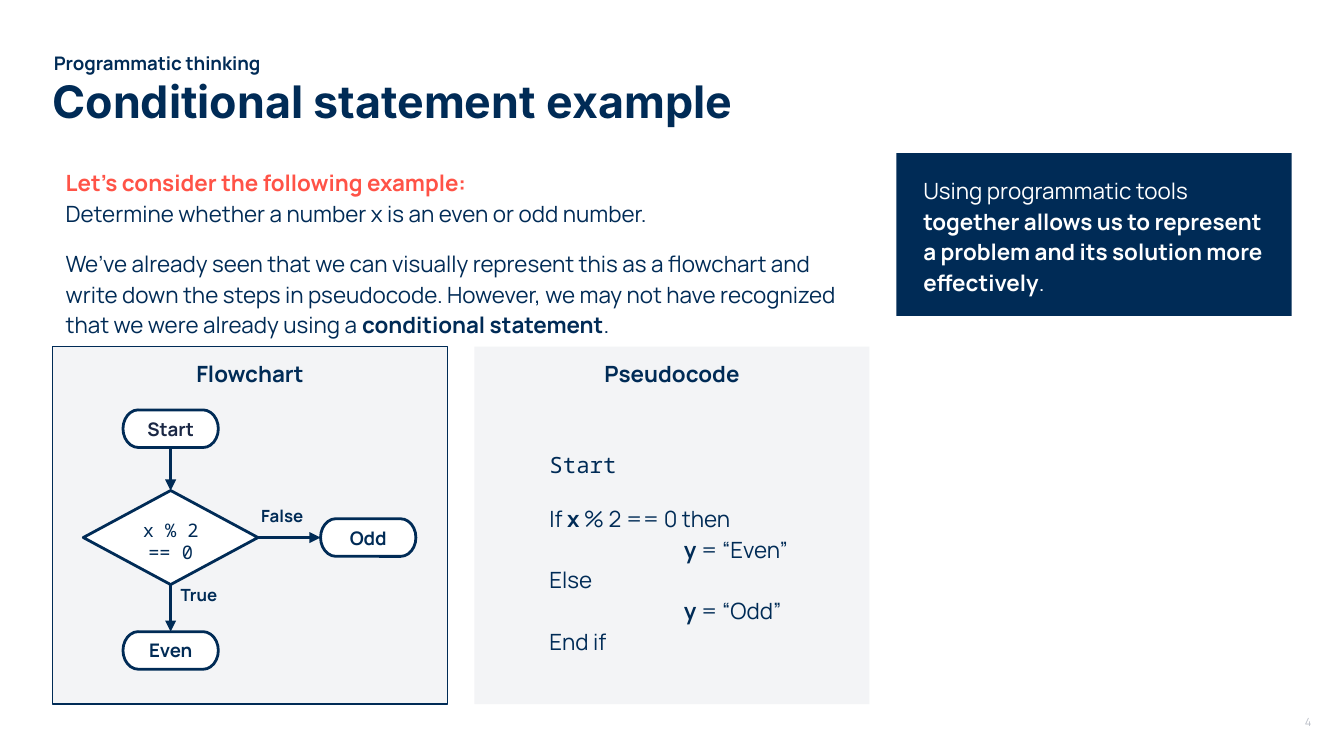
from lxml import etree
from pptx import Presentation
from pptx.dml.color import RGBColor
from pptx.enum.shapes import MSO_CONNECTOR, MSO_SHAPE
from pptx.enum.text import MSO_ANCHOR, MSO_AUTO_SIZE, PP_ALIGN
from pptx.oxml.ns import qn
from pptx.util import Inches, Pt

RECT = MSO_SHAPE.RECTANGLE
PILL = MSO_SHAPE.FLOWCHART_TERMINATOR
DIAMOND = MSO_SHAPE.FLOWCHART_DECISION
STRAIGHT = MSO_CONNECTOR.STRAIGHT
TOP, MIDDLE = MSO_ANCHOR.TOP, MSO_ANCHOR.MIDDLE
LEFT, CENTER = PP_ALIGN.LEFT, PP_ALIGN.CENTER
NO_FIT = MSO_AUTO_SIZE.NONE

NAVY, WHITE, GREY, CORAL = "002B56", "FFFFFF", "F3F4F6", "FF5347"
SANS, MONO = "Manrope", "Noto Sans Mono"
rgb = RGBColor.from_string

prs = Presentation()
prs.slide_width, prs.slide_height = Inches(10), Inches(10 * 9 / 16)
slide = prs.slides.add_slide(prs.slide_layouts[5])
shapes = slide.shapes


def place(kind, x, y, w, h, fill=None, line=None, width=1.5):
    """Add a preset shape, or a text box if kind is None."""
    box = [Inches(v) for v in (x, y, w, h)]
    if kind is None:
        return shapes.add_textbox(*box)
    shape = shapes.add_shape(kind, *box)
    shape.shadow.inherit = False
    shape.fill.solid()
    shape.fill.fore_color.rgb = rgb(fill)
    if line:
        shape.line.color.rgb = rgb(line)
        shape.line.width = Pt(width)
    else:
        shape.line.fill.background()
    return shape


def write(shape, paras, size, color=NAVY, font=SANS, align=LEFT, anchor=TOP,
          pads=(0.1, 0.1, 0.1, 0.1), spacing=None, before=0):
    """Each paragraph is a list of (text, bold, optional colour, optional font)."""
    frame = shape.text_frame
    frame.word_wrap = True
    frame.auto_size = NO_FIT
    frame.vertical_anchor = anchor
    (frame.margin_left, frame.margin_top,
     frame.margin_right, frame.margin_bottom) = [Inches(p) for p in pads]
    for i, runs in enumerate(paras):
        para = frame.add_paragraph() if i else frame.paragraphs[0]
        para.alignment = align
        if spacing:
            para.line_spacing = spacing
        if i and before:
            para.space_before = Pt(before)
        if any("\t" in part[0] for part in runs):
            tabs = etree.SubElement(para._p.get_or_add_pPr(), qn("a:tabLst"))
            etree.SubElement(tabs, qn("a:tab"), pos=str(Inches(1)), algn="l")
        for text, bold, *style in runs:
            for n, piece in enumerate(text.split("\n")):
                if n:
                    para.add_line_break()
                if not piece:
                    continue
                run = para.add_run()
                run.text = piece
                run.font.size = Pt(size)
                run.font.bold = bold
                run.font.color.rgb = rgb(style[0] if style else color)
                run.font.name = style[1] if len(style) > 1 else font


# Heading
title = shapes.title
title.left, title.top = Inches(0.39), Inches(0.55)
title.width, title.height = Inches(9.21), Inches(0.39)
write(title, [[("Conditional statement example", True)]], 24, font="Inter",
      pads=(0, 0, 0, 0))
write(place(None, 0.4, 0.39, 9.21, 0.16), [[("Programmatic thinking", True)]],
      10, anchor=MIDDLE, pads=(0, 0, 0, 0))

# Panels
for name, x, line in [("Flowchart", 0.39, NAVY), ("Pseudocode", 3.53, None)]:
    place(RECT, x, 2.58, 2.94, 2.66, GREY, line, 0.75)
    write(place(None, x, 2.58, 2.94, 0.4), [[(name, True)]], 12, align=CENTER)

# Pseudocode
write(place(None, 3.99, 3.23, 2.04, 1.73), [
    [("Start", False, NAVY, MONO)],
    [("If ", False), ("x", True), (" % 2 == 0 then\n\t", False),
     ("y", True), (" = “Even”\nElse\n\t", False),
     ("y", True), (" = “Odd”\nEnd if", False)],
], 12, spacing=1.15, before=12)

# Flowchart nodes, placed by their centres
mid, row = 1.27, 4
nodes = {}
for name, x, y, color in [("Start", mid, 3.19, "1A2744"),
                          ("Odd", 2.74, row, NAVY), ("Even", mid, 4.84, NAVY)]:
    nodes[name] = place(PILL, x - 0.355, y - 0.14, 0.71, 0.28, WHITE, NAVY)
    write(nodes[name], [[(name, True)]], 10, color, align=CENTER, anchor=MIDDLE)
nodes["Test"] = place(DIAMOND, mid - 0.65, row - 0.35, 1.3, 0.7, WHITE, NAVY)
write(place(None, mid - 0.59, 3.76, 1.18, 0.54),
      [[("x % 2", False)], [("== 0", False)]], 10, font=MONO, align=CENTER)

# Arrows join connection sites: 0 top, 1 left, 2 bottom, 3 right
for start, out, end, into in [("Start", 2, "Test", 0), ("Test", 3, "Odd", 1),
                              ("Test", 2, "Even", 0)]:
    arrow = shapes.add_connector(STRAIGHT, 0, 0, 0, 0)
    arrow.begin_connect(nodes[start], out)
    arrow.end_connect(nodes[end], into)
    arrow.line.color.rgb = rgb(NAVY)
    arrow.line.width = Pt(1.5)
    etree.SubElement(arrow.line._get_or_add_ln(), qn("a:tailEnd"), type="triangle")
    etree.SubElement(arrow._element.spPr, qn("a:effectLst"))

for name, x, y in [("False", 1.81, 3.66), ("True", 1.19, 4.25)]:
    write(place(None, x, y, 0.58, 0.35), [[(name, True)]], 9, align=CENTER)

# Body, callout and page number
write(place(None, 0.39, 1.13, 6.08, 1.47), [
    [("Let’s consider the following example:\n", True, CORAL),
     ("Determine whether a number x is an even or odd number.", False)],
    [("We’ve already seen that we can visually represent this as a flowchart "
      "and write down the steps in pseudocode. However, we may not have "
      "recognized that we were already using a ", False),
     ("conditional statement", True), (".", False)],
], 12, spacing=1.15, before=10)
write(place(RECT, 6.67, 1.14, 2.94, 1.21, NAVY), [
    [("Using programmatic tools ", False),
     ("together allows us to represent a problem and its solution more "
      "effectively", True), (".", False)],
], 12, WHITE, anchor=MIDDLE, pads=(0.2, 0.1, 0.1, 0.1), spacing=1.15)
write(place(None, 9.61, 5.22, 0.39, 0.28), [[("4", False)]], 6, "BABEC7")

prs.save("out.pptx")
